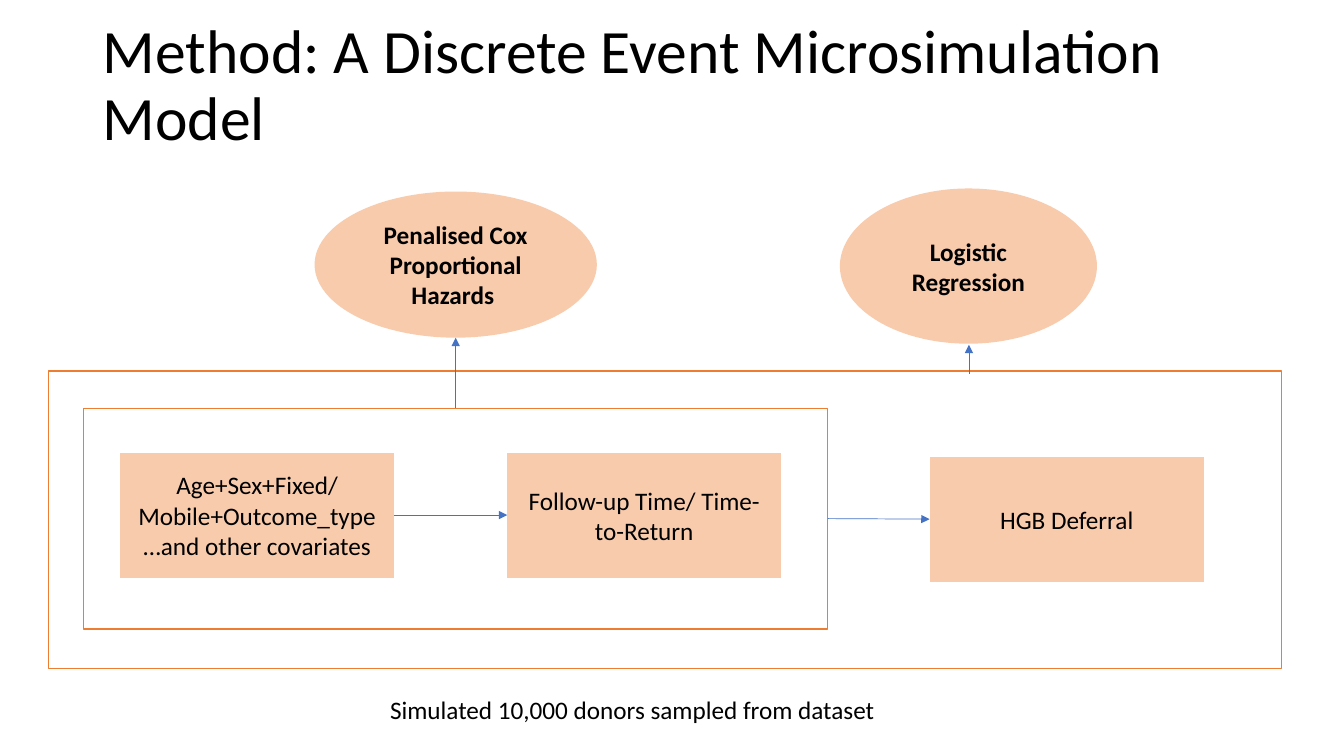
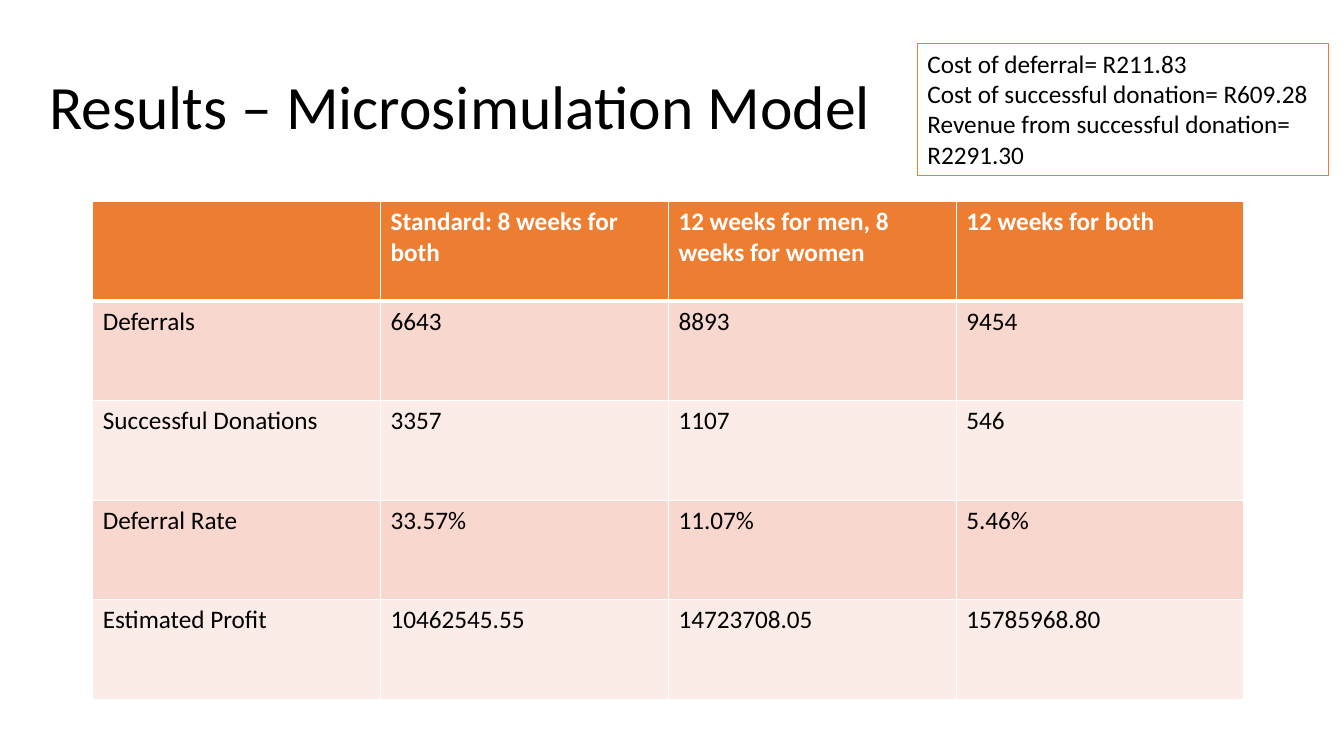
from lxml import etree
from pptx import Presentation
from pptx import util as u
from pptx.dml import color
from pptx.enum import shapes, text
from pptx.oxml import ns

PX = 9144  # 100 px to the inch
HEX = {"ink": "000000", "white": "FFFFFF", "peach": "F8CBAD", "orange": "ED7D31",
       "blue": "4472C4", "dark": "F8D7CE", "light": "FCECE8"}
RGB = {name: color.RGBColor.from_string(code) for name, code in HEX.items()}
FONT = "Calibri"
KIND = shapes.MSO_SHAPE
LEFT, MID = text.PP_ALIGN.LEFT, text.PP_ALIGN.CENTER
TOP, HALF = text.MSO_ANCHOR.TOP, text.MSO_ANCHOR.MIDDLE


def write(frame, lines, size=18, tint="ink", bold=False, align=LEFT):
    """Fill a text frame, one paragraph a line."""
    frame.word_wrap = True
    for i, line in enumerate(lines):
        para = frame.paragraphs[0] if i == 0 else frame.add_paragraph()
        para.alignment = align
        run = para.add_run()
        run.text = line
        run.font.name = FONT
        run.font.size = u.Pt(size)
        run.font.bold = bold
        run.font.color.rgb = RGB[tint]


def edge(cell, side, width):
    """Add a white border; side is L, R, T or B."""
    line = etree.SubElement(cell._tc.get_or_add_tcPr(), ns.qn("a:ln" + side), w=str(u.Pt(width)))
    fill = etree.SubElement(line, ns.qn("a:solidFill"))
    etree.SubElement(fill, ns.qn("a:srgbClr"), val=HEX["white"])


deck = Presentation()
deck.slide_width, deck.slide_height = 1333 * PX, 750 * PX
blank = deck.slide_layouts[6]
method, result = [deck.slides.add_slide(blank) for _ in range(2)]

# Titles
for slide, title, x, y in [
    (method, "Method: A Discrete Event Microsimulation Model", 92, 14),
    (result, "Results – Microsimulation Model", 39, 36),
]:
    frame = slide.shapes.add_textbox(x * PX, y * PX, 1150 * PX, 145 * PX).text_frame
    frame.vertical_anchor = HALF
    write(frame, [title], 44)
    frame.paragraphs[0].line_spacing = 0.9

# Outlined frames
cost = ["Cost of deferral= R211.83", "Cost of successful donation= R609.28",
        "Revenue from successful donation= R2291.30"]
outer = (method, KIND.FLOWCHART_PROCESS, (48, 368, 1223, 295), 1, [])
inner = (method, KIND.RECTANGLE, (83, 405, 738, 219), 1, [])
note = (result, KIND.RECTANGLE, (910, 43, 408, 131), 0.75, cost)
frames = []
for slide, kind, area, width, lines in [outer, inner, note]:
    box = slide.shapes.add_shape(kind, *[n * PX for n in area])
    box.shadow.inherit = False
    box.fill.background()
    box.line.color.rgb = RGB["orange"]
    box.line.width = u.Pt(width)
    box.text_frame.vertical_anchor = TOP
    write(box.text_frame, lines)
    frames.append(box)
group = frames[1]

# Model steps and methods
nodes = []
for kind, area, label in [
    (KIND.FLOWCHART_PROCESS, (119, 449, 272, 124),
     "Age+Sex+Fixed/Mobile+Outcome_type…and other covariates"),
    (KIND.FLOWCHART_PROCESS, (503, 449, 272, 124), "Follow-up Time/ Time-to-Return"),
    (KIND.FLOWCHART_PROCESS, (922, 453, 272, 124), "HGB Deferral"),
    (KIND.OVAL, (312, 190, 280, 145), "Penalised Cox Proportional Hazards "),
    (KIND.OVAL, (833, 187, 255, 154), "Logistic Regression"),
]:
    node = method.shapes.add_shape(kind, *[n * PX for n in area])
    node.shadow.inherit = False
    node.fill.solid()
    node.fill.fore_color.rgb = RGB["peach"]
    node.line.fill.background()
    node.text_frame.vertical_anchor = HALF
    write(node.text_frame, [label], bold=kind == KIND.OVAL, align=MID)
    nodes.append(node)
traits, follow, defer = nodes[:3]

# Arrows: ends, then the shape and side joined at each end
for ends, start, stop in [
    ((391, 511, 503, 511), (traits, 3), (follow, 1)),
    ((821, 515, 922, 515), (group, 3), (defer, 1)),
    ((452, 405, 452, 335), (group, 0), None),
    ((961, 371, 961, 342), None, None),
]:
    arrow = method.shapes.add_connector(shapes.MSO_CONNECTOR.STRAIGHT, *[n * PX for n in ends])
    if start:
        arrow.begin_connect(*start)
    if stop:
        arrow.end_connect(*stop)
    arrow.line.color.rgb = RGB["blue"]
    arrow.line.width = u.Pt(0.5)
    etree.SubElement(arrow.line._get_or_add_ln(), ns.qn("a:tailEnd"), type="triangle")
    etree.SubElement(arrow._element.spPr, ns.qn("a:effectLst"))

foot = method.shapes.add_textbox(377 * PX, 684 * PX, 619 * PX, 40 * PX)
write(foot.text_frame, ["Simulated 10,000 donors sampled from dataset"])

# Results table
rows = [
    ["", "Standard: 8 weeks for both", "12 weeks for men, 8 weeks for women", "12 weeks for both"],
    ["Deferrals", "6643", "8893", "9454"],
    ["Successful Donations", "3357", "1107", "546"],
    ["Deferral Rate", "33.57%", "11.07%", "5.46%"],
    ["Estimated Profit", "10462545.55", "14723708.05", "15785968.80"],
]
wide, high = 1142, 494
table = result.shapes.add_table(len(rows), len(rows[0]), 92 * PX, 200 * PX,
                                wide * PX, high * PX).table
for r, row in enumerate(rows):
    head = r == 0
    for c, value in enumerate(row):
        cell = table.cell(r, c)
        for side in "LRTB":
            thick = (r, side) in [(0, "B"), (1, "T")]
            edge(cell, side, 3 if thick else 1)
        cell.fill.solid()
        cell.fill.fore_color.rgb = RGB["orange" if head else "dark" if r % 2 else "light"]
        if value:
            write(cell.text_frame, [value], tint="white" if head else "ink", bold=head)

deck.save("out.pptx")
